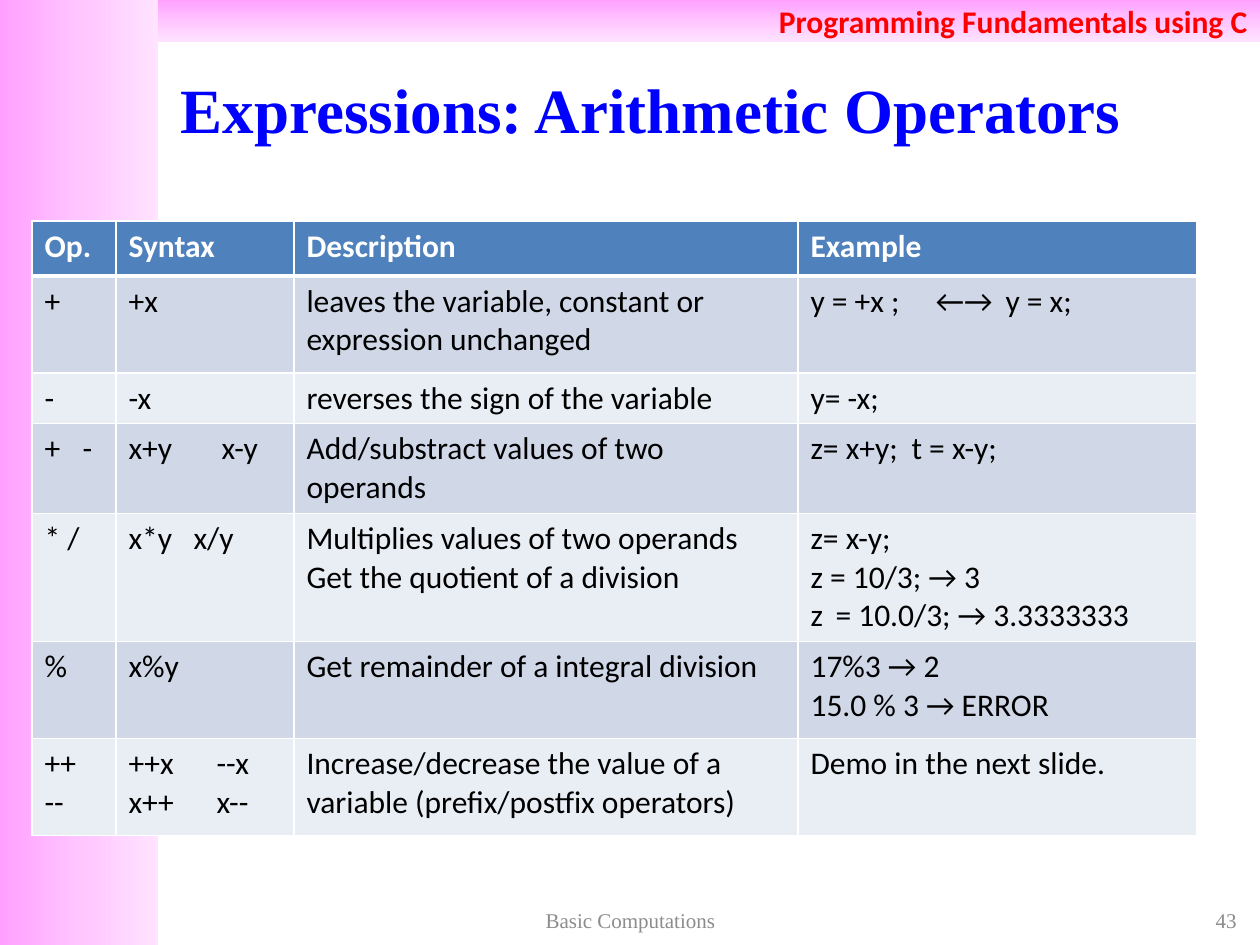
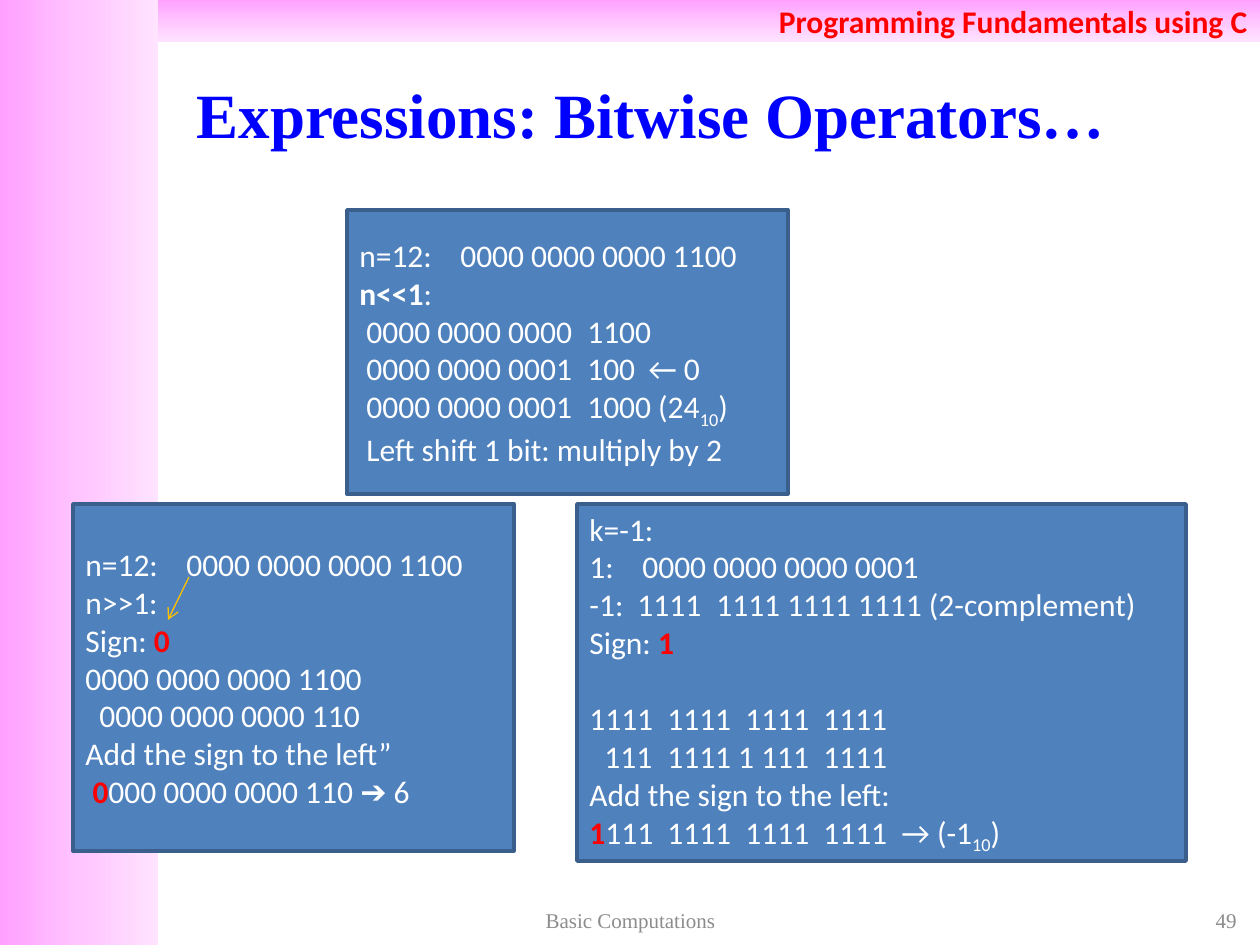
"""Builds two lecture slides on C arithmetic and bitwise operators."""
from copy import deepcopy

from lxml.etree import SubElement
from pptx import Presentation
from pptx.dml.color import RGBColor
from pptx.enum.shapes import MSO_CONNECTOR, MSO_SHAPE
from pptx.enum.text import MSO_ANCHOR, PP_ALIGN
from pptx.oxml.ns import qn
from pptx.util import Emu, Pt

EMU_PER_PX = 914400 / 126
WHITE = RGBColor(0xFF, 0xFF, 0xFF)
BLACK = RGBColor(0x00, 0x00, 0x00)
RED = RGBColor(0xFF, 0x00, 0x00)
TITLE_BLUE = RGBColor(0x00, 0x00, 0xFF)
FOOTER_GREY = RGBColor(0x8C, 0x8C, 0x8C)
PANEL_BLUE = RGBColor(0x4F, 0x81, 0xBD)
PANEL_EDGE = RGBColor(0x3A, 0x5F, 0x8C)
ROW_DARK = RGBColor(0xD0, 0xD8, 0xE8)
ROW_LIGHT = RGBColor(0xE9, 0xED, 0xF4)
ARROW_GOLD = RGBColor(0xFF, 0xC0, 0x00)
PINKS = [
    (0, RGBColor(0xFF, 0xA0, 0xFF)),
    (0.5, RGBColor(0xFF, 0xC5, 0xFF)),
    (1, RGBColor(0xFF, 0xE3, 0xFF)),
]
SERIF = "Times New Roman"
SANS = "Calibri"


def px(*lengths):
    return [Emu(round(length * EMU_PER_PX)) for length in lengths]


def write(frame, lines, size, font, color, bold=False, align=PP_ALIGN.LEFT):
    """Write lines of (tab stops, run, run...), a run being text or (text, mark)."""
    frame.word_wrap = True
    frame.vertical_anchor = MSO_ANCHOR.MIDDLE
    for index, (stops, *runs) in enumerate(lines):
        para = frame.add_paragraph() if index else frame.paragraphs[0]
        para.alignment = align
        if stops:
            tabs = SubElement(para._p.get_or_add_pPr(), qn("a:tabLst"))
            for stop in px(*stops):
                SubElement(tabs, qn("a:tab"), pos=str(stop), algn="l")
        for run in runs:
            text, mark = (run, "") if isinstance(run, str) else run
            span = para.add_run()
            span.text = text
            span.font.size = Pt(size)
            span.font.name = font
            span.font.bold = bold or mark in ("red", "bold")
            span.font.color.rgb = RED if mark == "red" else color
            if mark == "sub":
                span.font._element.set("baseline", "-25000")


deck = Presentation()
deck.slide_width, deck.slide_height = px(1260, 945)

PAGES = [
    ("Expressions: Arithmetic Operators", 141, "43"),
    ("Expressions: Bitwise Operators…", 151, "49"),
]
BANDS = [
    ((0, 0, 158, 945), 0, ""),
    ((158, 0, 1102, 42), 270, "Programming Fundamentals using C"),
]
for title, title_height, number in PAGES:
    page = deck.slides.add_slide(deck.slide_layouts[6])
    for place, angle, label in BANDS:
        band = page.shapes.add_shape(MSO_SHAPE.RECTANGLE, *px(*place))
        band.shadow.inherit = False
        band.line.fill.background()
        band.fill.gradient()
        band.fill.gradient_angle = angle
        stop_list = band._element.spPr.find(".//" + qn("a:gsLst"))
        stop_list.insert(1, deepcopy(stop_list[0]))
        for stop, (position, pink) in zip(band.fill.gradient_stops, PINKS):
            stop.position = position
            stop.color.rgb = pink
        if label:
            write(band.text_frame, [((), label)], 18, SANS, RED, True, PP_ALIGN.RIGHT)
    for place, text, size, color, bold, align in [
        ((105, 38, 1092, title_height), title, 36, TITLE_BLUE, True, PP_ALIGN.CENTER),
        ((955, 903, 294, 34), number, 12, FOOTER_GREY, False, PP_ALIGN.RIGHT),
        ((431, 903, 399, 34), "Basic Computations", 12, FOOTER_GREY, False, PP_ALIGN.CENTER),
    ]:
        box = page.shapes.add_textbox(*px(*place))
        write(box.text_frame, [((), text)], size, SERIF, color, bold, align)

arithmetic, bitwise = deck.slides

COLUMN_WIDTHS = px(84, 178, 504, 399)
ROW_HEIGHTS = px(55, 97, 50, 90, 128, 97, 97)
OPERATORS = [
    [[((), "Op.")], [((), "Syntax")], [((), "Description")], [((), "Example")]],
    [
        [((), "+")],
        [((), "+x")],
        [((), "leaves the variable, constant or expression unchanged")],
        [((125, 195), "y = +x ;\t←→\ty = x;")],
    ],
    [
        [((), "-")],
        [((), "-x")],
        [((), "reverses the sign of the variable")],
        [((), "y= -x;")],
    ],
    [
        [((38,), "+\t-")],
        [((93,), "x+y\tx-y")],
        [((), "Add/substract values of two operands")],
        [((101,), "z= x+y;\tt = x-y;")],
    ],
    [
        [((), "* /")],
        [((65,), "x*y\tx/y")],
        [((), "Multiplies values of two operands"), ((), "Get the quotient of a division")],
        [((), "z= x-y;"), ((), "z = 10/3; → 3"), ((25,), "z\t= 10.0/3; → 3.3333333")],
    ],
    [
        [((), "%")],
        [((), "x%y")],
        [((), "Get remainder of a integral division")],
        [((), "17%3 → 2"), ((), "15.0 % 3 → ERROR")],
    ],
    [
        [((), "++"), ((), "--")],
        [((88,), "++x\t--x"), ((88,), "x++\tx--")],
        [((), "Increase/decrease the value of a variable (prefix/postfix operators)")],
        [((), "Demo in the next slide.")],
    ],
]
table = arithmetic.shapes.add_table(
    len(ROW_HEIGHTS), len(COLUMN_WIDTHS), *px(32, 221, 1165, 614)
).table
for column, width in zip(table.columns, COLUMN_WIDTHS):
    column.width = width
for row_index, (row, height) in enumerate(zip(table.rows, ROW_HEIGHTS)):
    row.height = height
    header = row_index == 0
    thick_edge = {0: "lnB", 1: "lnT"}.get(row_index)
    for cell, lines in zip(row.cells, OPERATORS[row_index]):
        write(cell.text_frame, lines, 18, SANS, WHITE if header else BLACK, header)
        cell.vertical_anchor = MSO_ANCHOR.TOP
        for edge in ("lnL", "lnR", "lnT", "lnB"):
            width = Pt(3 if edge == thick_edge else 1)
            border = SubElement(cell._tc.get_or_add_tcPr(), qn("a:" + edge), w=str(width))
            paint = SubElement(border, qn("a:solidFill"))
            SubElement(paint, qn("a:srgbClr"), val=str(WHITE))
        cell.fill.solid()
        if header:
            cell.fill.fore_color.rgb = PANEL_BLUE
        else:
            cell.fill.fore_color.rgb = ROW_DARK if row_index % 2 else ROW_LIGHT

right_shift = [
    ((101,), "n=12:\t0000 0000 0000 1100"),
    ((), "n>>1:"),
    ((), "Sign: ", ("0", "red")),
    ((), "0000 0000 0000 1100"),
    ((14,), "\t0000 0000 0000 110"),
    ((), "Add the sign to the left”"),
    ((), " ", ("0", "red"), "000 0000 0000 110 ➔ 6"),
]
negative_shift = [
    ((), "k=-1:"),
    ((53,), "1:\t0000 0000 0000 0001"),
    ((48, 127), "-1:\t1111\t1111 1111 1111 (2-complement)"),
    ((), "Sign: ", ("1", "red")),
    ((78, 156, 234), "1111\t1111\t1111\t1111"),
    ((15, 78, 234), "\t111\t1111 1 111\t1111"),
    ((), "Add the sign to the left:"),
    ((78, 156, 234, 312), ("1", "red"), "111\t1111\t1111\t1111\t→ (-1", ("10", "sub"), ")"),
]
left_shift = [
    ((101,), "n=12:\t0000 0000 0000 1100"),
    ((), ("n<<1", "bold"), ":"),
    ((228,), " 0000 0000 0000\t1100"),
    ((228, 289), " 0000 0000 0001\t100\t← 0"),
    ((228,), " 0000 0000 0001\t1000 (24", ("10", "sub"), ")"),
    ((), " Left shift 1 bit: multiply by 2"),
]
for place, lines in [
    ((73, 504, 441, 347), right_shift),
    ((577, 504, 609, 357), negative_shift),
    ((347, 210, 441, 284), left_shift),
]:
    panel = bitwise.shapes.add_shape(MSO_SHAPE.RECTANGLE, *px(*place))
    panel.shadow.inherit = False
    panel.fill.solid()
    panel.fill.fore_color.rgb = PANEL_BLUE
    panel.line.color.rgb = PANEL_EDGE
    panel.line.width = Pt(2)
    write(panel.text_frame, lines, 18, SANS, WHITE)
    if lines is negative_shift:
        panel.text_frame.paragraphs[4].space_before = Pt(22)

sign_arrow = bitwise.shapes.add_connector(MSO_CONNECTOR.STRAIGHT, *px(189, 577, 168, 620))
sign_arrow.line.color.rgb = ARROW_GOLD
sign_arrow.line.width = Pt(0.75)
SubElement(sign_arrow.line._get_or_add_ln(), qn("a:tailEnd"), type="arrow")
SubElement(sign_arrow._element.spPr, qn("a:effectLst"))

deck.save("out.pptx")
